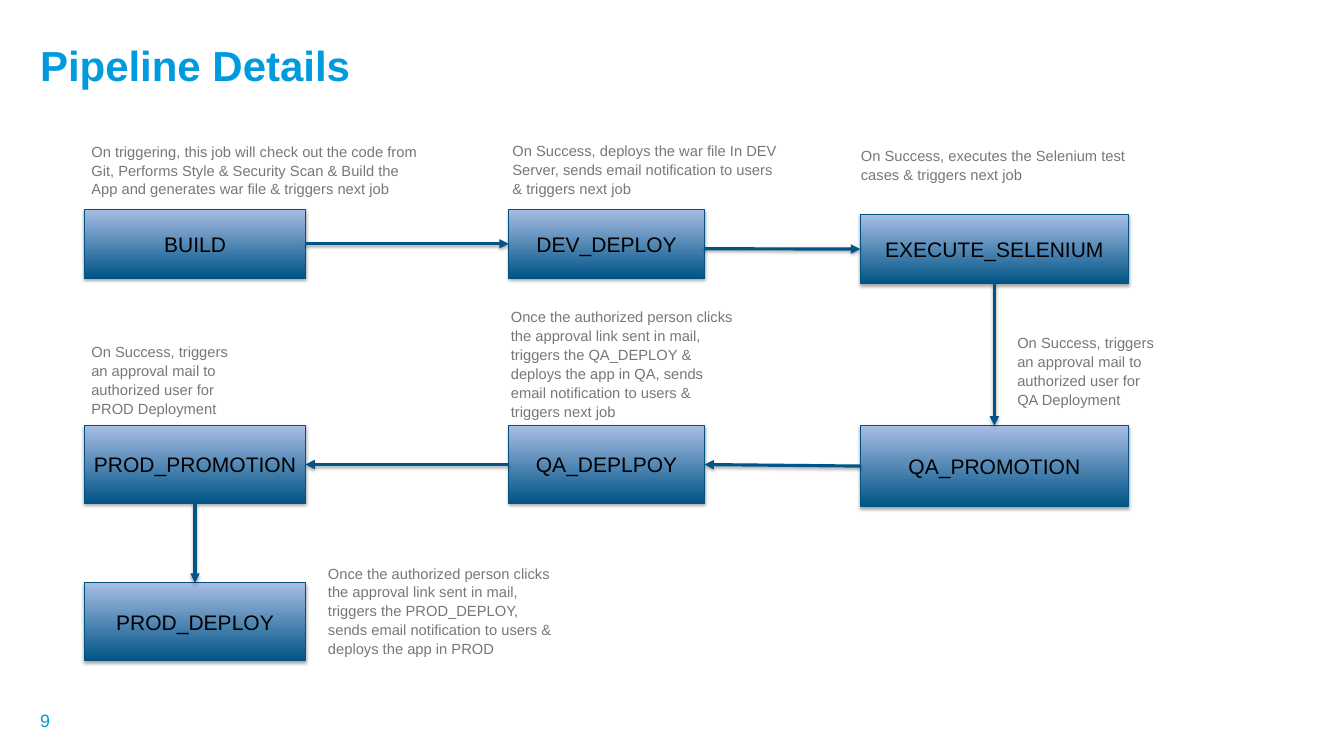
from lxml import etree
from pptx import Presentation
from pptx.dml.color import RGBColor
from pptx.enum.shapes import MSO_CONNECTOR, MSO_SHAPE
from pptx.enum.text import MSO_ANCHOR, MSO_AUTO_SIZE, PP_ALIGN
from pptx.oxml.ns import qn
from pptx.util import Pt

PX = 9144
RECTANGLE = MSO_SHAPE.RECTANGLE
STRAIGHT = MSO_CONNECTOR.STRAIGHT
MIDDLE = MSO_ANCHOR.MIDDLE
TOP_ANCHOR = MSO_ANCHOR.TOP
NO_AUTOFIT = MSO_AUTO_SIZE.NONE
LEFT_ALIGN = PP_ALIGN.LEFT
CENTER = PP_ALIGN.CENTER
TOP, LEFT, BOTTOM, RIGHT = range(4)


def set_text(shape, text, size, color, anchor=TOP_ANCHOR, align=LEFT_ALIGN, inset=(10, 5)):
    frame = shape.text_frame
    frame.text = text
    frame.word_wrap = True
    frame.auto_size = NO_AUTOFIT
    frame.vertical_anchor = anchor
    frame.margin_left = frame.margin_right = inset[0] * PX
    frame.margin_top = frame.margin_bottom = inset[1] * PX
    paragraph = frame.paragraphs[0]
    paragraph.alignment = align
    paragraph.font.name = "Arial"
    paragraph.font.size = Pt(size)
    paragraph.font.color.rgb = RGBColor.from_string(color)
    return paragraph


def add_shadow(properties):
    effects = properties.find(qn("a:effectLst"))
    if effects is None:
        effects = etree.SubElement(properties, qn("a:effectLst"))
    shadow = etree.SubElement(effects, qn("a:outerShdw"), blurRad="40000", dist="23000",
                              dir="5400000", rotWithShape="0")
    color = etree.SubElement(shadow, qn("a:srgbClr"), val="000000")
    etree.SubElement(color, qn("a:alpha"), val="35000")


presentation = Presentation()
presentation.slide_width = 1778 * PX
presentation.slide_height = 1000 * PX
slide = presentation.slides.add_slide(presentation.slide_layouts[5])

title = slide.shapes.title
title.left, title.top, title.width, title.height = [n * PX for n in (35, 40, 1709, 92)]
set_text(title, "Pipeline Details", 40, "009BDE", MIDDLE, inset=(18, 9)).font.bold = True

page_number = slide.shapes.add_textbox(*[n * PX for n in (35, 927, 415, 53)])
set_text(page_number, "9", 17, "009ADD", MIDDLE, inset=(18, 9))

jobs = {
    "BUILD": (112, 277, 292, 91),
    "DEV_DEPLOY": (673, 277, 259, 91),
    "EXECUTE_SELENIUM": (1138, 284, 355, 91),
    "QA_PROMOTION": (1138, 563, 355, 107),
    "QA_DEPLPOY": (673, 563, 259, 103),
    "PROD_PROMOTION": (112, 563, 292, 103),
    "PROD_DEPLOY": (112, 771, 292, 103),
}
boxes = {}
for name, bounds in jobs.items():
    box = slide.shapes.add_shape(RECTANGLE, *[n * PX for n in bounds])
    box.fill.gradient()
    box.fill.gradient_angle = 90
    for stop, color in zip(box.fill.gradient_stops, ("005486", "A7BDE4")):
        stop.color.rgb = RGBColor.from_string(color)
    box.line.color.rgb = RGBColor.from_string("005283")
    box.line.width = Pt(0.75)
    box.shadow.inherit = False
    add_shadow(box._element.spPr)
    set_text(box, name, 20, "000000", MIDDLE, CENTER)
    boxes[name] = box

descriptions = [
    ((111, 182, 453, 87), "On triggering, this job will check out the code from Git, Performs Style "
     "& Security Scan & Build the App and generates war file & triggers next job"),
    ((668, 181, 375, 91), "On Success, deploys the war file In DEV Server, sends email "
     "notification to users & triggers next job"),
    ((1129, 188, 401, 72), "On Success, executes the Selenium test cases & triggers next job"),
    ((1336, 435, 210, 132), "On Success, triggers an approval mail to authorized user for QA Deployment"),
    ((666, 401, 325, 160), "Once the authorized person clicks the approval link sent in mail, triggers "
     "the QA_DEPLOY & deploys the app in QA, sends email notification to users & triggers next job"),
    ((111, 447, 210, 132), "On Success, triggers an approval mail to authorized user for PROD Deployment"),
    ((424, 740, 325, 134), "Once the authorized person clicks the approval link sent in mail, triggers "
     "the PROD_DEPLOY, sends email notification to users & deploys the app in PROD"),
]
for bounds, text in descriptions:
    description = slide.shapes.add_textbox(*[n * PX for n in bounds])
    paragraph = set_text(description, text, 14, "777779")
    paragraph.line_spacing = 1.07
    paragraph.space_after = Pt(8)

links = [
    ("BUILD", RIGHT, "DEV_DEPLOY", LEFT),
    (None, None, "EXECUTE_SELENIUM", LEFT),
    ("EXECUTE_SELENIUM", BOTTOM, "QA_PROMOTION", TOP),
    ("QA_PROMOTION", LEFT, "QA_DEPLPOY", RIGHT),
    ("QA_DEPLPOY", LEFT, "PROD_PROMOTION", RIGHT),
    ("PROD_PROMOTION", BOTTOM, "PROD_DEPLOY", TOP),
]
for source, source_side, target, target_side in links:
    arrow = slide.shapes.add_connector(STRAIGHT, 932 * PX, 329 * PX, 1138 * PX, 329 * PX)
    if source:
        arrow.begin_connect(boxes[source], source_side)
    arrow.end_connect(boxes[target], target_side)
    arrow.line.color.rgb = RGBColor.from_string("005486")
    arrow.line.width = Pt(3)
    etree.SubElement(arrow.line._get_or_add_ln(), qn("a:tailEnd"), type="triangle")
    add_shadow(arrow._element.spPr)

presentation.save("out.pptx")
